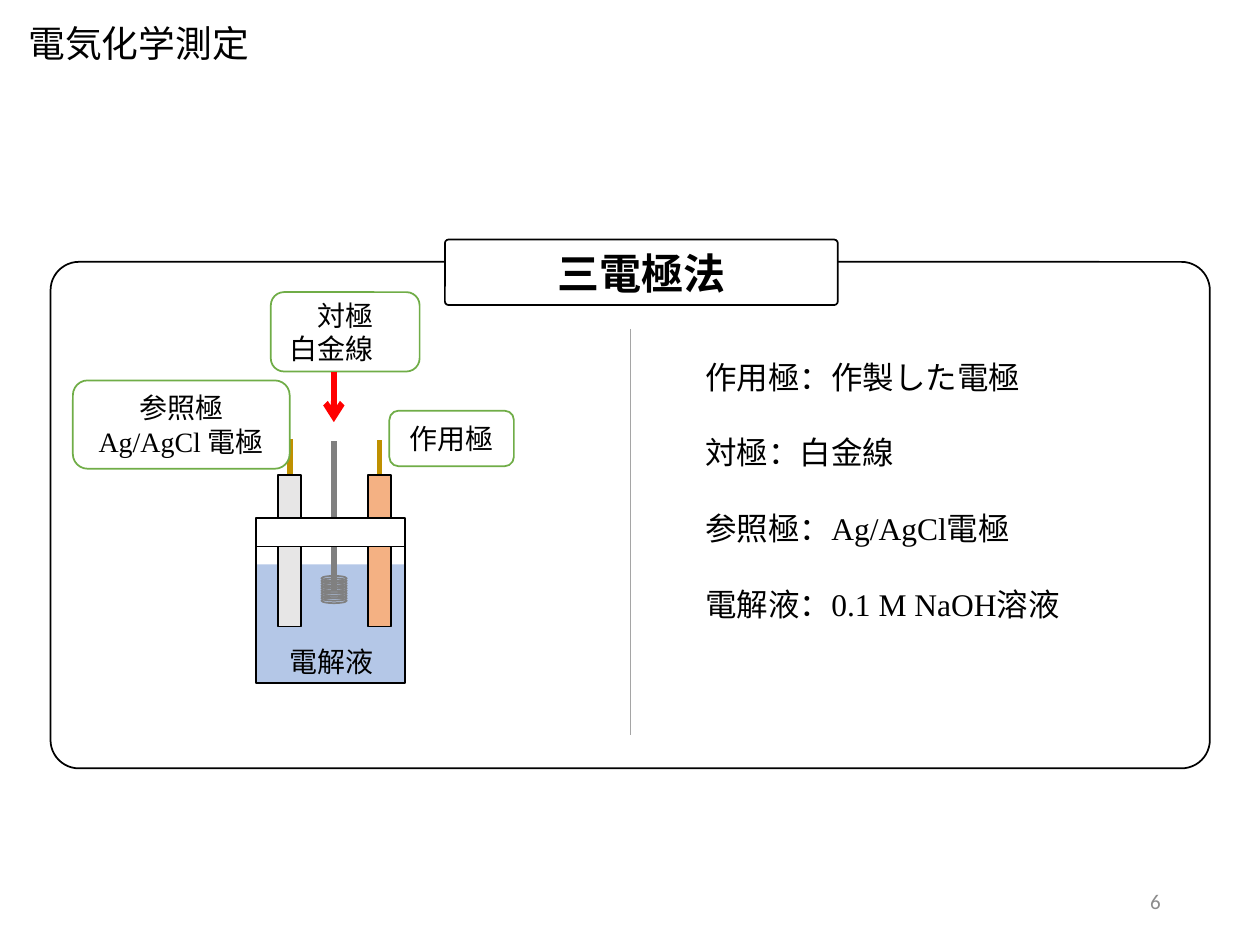
import pptx
import pptx.dml.color
import pptx.enum.shapes
import pptx.enum.text
import pptx.oxml
import pptx.oxml.ns
import pptx.util
from lxml import etree

Cm, Pt = pptx.util.Cm, pptx.util.Pt
SHAPE = pptx.enum.shapes.MSO_SHAPE
ALIGN = pptx.enum.text.PP_ALIGN
MIDDLE = pptx.enum.text.MSO_ANCHOR.MIDDLE
GOTHIC, SERIF = "Noto Sans CJK JP", "Times New Roman"
BLACK, WHITE, GREY, GOLD, GREEN = "000000", "FFFFFF", "808080", "BF9000", "70AD47"


def color(hex_value):
    return pptx.dml.color.RGBColor.from_string(hex_value)


def add_drawing_element(parent, tag, **attributes):
    element = etree.SubElement(parent, pptx.oxml.ns.qn(tag))
    for key, value in attributes.items():
        element.set(key, value)


def write(frame, lines, size, font=GOTHIC, text_color=BLACK, align=ALIGN.CENTER,
          bold=False, gap=0):
    """Fill a text frame, one paragraph per line."""
    frame.text = "\n".join(lines)
    for paragraph in frame.paragraphs:
        paragraph.alignment = align
        paragraph.space_after = Pt(gap)
        for run in paragraph.runs:
            run.font.size = Pt(size)
            run.font.bold = bold
            run.font.color.rgb = color(text_color)
            run.font.name = font
            add_drawing_element(run.font._element, "a:ea", typeface=GOTHIC)


def add_box(shapes, kind, left, top, width, height, fill=None, line=None, corner=None):
    box = shapes.add_shape(kind, Cm(left), Cm(top), Cm(width), Cm(height))
    box.shadow.inherit = False
    if fill:
        box.fill.solid()
        box.fill.fore_color.rgb = color(fill)
    else:
        box.fill.background()
    if line:
        box.line.color.rgb = color(line)
        box.line.width = Pt(1)
    else:
        box.line.fill.background()
    if corner is not None:
        box.adjustments[0] = corner
    return box


def add_label(shapes, place, lines, font=GOTHIC, fill=WHITE, line=GREEN):
    label = add_box(shapes, SHAPE.ROUNDED_RECTANGLE, *place, fill, line)
    label.text_frame.vertical_anchor = MIDDLE
    write(label.text_frame, lines, 16, font)
    return label


def add_vertical(shapes, x, start, end, line_color, width, arrow=False):
    line = shapes.add_connector(pptx.enum.shapes.MSO_CONNECTOR.STRAIGHT,
                                Cm(x), Cm(start), Cm(x), Cm(end))
    line.line.color.rgb = color(line_color)
    line.line.width = Pt(width)
    if arrow:
        add_drawing_element(line.line._get_or_add_ln(), "a:tailEnd", type="arrow")
    add_drawing_element(line._element.spPr, "a:effectLst")


def add_text(shapes, place, lines, size, wrap=True, **style):
    box = shapes.add_textbox(*[Cm(length) for length in place])
    box.text_frame.word_wrap = wrap
    write(box.text_frame, lines, size, **style)
    return box


def draw_cell(shapes):
    counter_x, reference_x, working_x = 6.73, 5.84, 7.65
    vessel_left, vessel_width = 5.16, 3.0

    # Wires
    add_vertical(shapes, counter_x, 11.89, 8.89, GREY, 3.25)
    add_vertical(shapes, working_x, 9.96, 8.86, GOLD, 3.25)
    add_vertical(shapes, reference_x, 9.96, 8.84, GOLD, 3.25)

    # Vessel, electrode rods and lid
    add_box(shapes, SHAPE.RECTANGLE, vessel_left, 11.0, vessel_width, 2.77, line=BLACK)
    for left, fill in ((7.42, "F4B183"), (5.61, "E7E6E6")):
        add_box(shapes, SHAPE.RECTANGLE, left, 9.58, 0.46, 3.05, fill, BLACK)
    add_box(shapes, SHAPE.RECTANGLE, vessel_left, 10.44, vessel_width, 0.58, WHITE, BLACK)

    # Labels
    reference = add_label(shapes, (1.47, 7.67, 4.37, 1.78), ["参照極", "Ag/AgCl 電極"])
    for run in reference.text_frame.paragraphs[1].runs:
        run.font.name = SERIF
    add_label(shapes, (5.46, 5.89, 3.0, 1.6), ["対極", "白金線　"])
    add_vertical(shapes, counter_x, 7.49, 8.51, "FF0000", 3.5, arrow=True)
    add_label(shapes, (7.85, 8.28, 2.51, 1.12), ["作用極"])
    add_label(shapes, (5.38, 12.78, 2.62, 1.09), ["電解液"], SERIF, None, None)

    # Platinum coil
    for turn in range(10):
        add_box(shapes, SHAPE.OVAL, 6.48, 11.61 + 0.05 * turn, 0.51, 0.1, line=GREY)


def main():
    deck = pptx.Presentation()
    deck.slide_width, deck.slide_height = Cm(25.4), Cm(19.05)
    shapes = deck.slides.add_slide(deck.slide_layouts[6]).shapes

    # Electrolyte behind the cell
    add_box(shapes, SHAPE.RECTANGLE, 5.16, 11.38, 3.0, 2.41, "B4C7E7")

    # Page number
    page_number = add_text(shapes, (17.93, 17.65, 5.72, 1.02), ["6"], 12,
                           font="Calibri", text_color="8C8C8C", align=ALIGN.RIGHT)
    page_number.text_frame.vertical_anchor = MIDDLE

    draw_cell(shapes.add_group_shape().shapes)

    # Title and list of components
    add_text(shapes, (-1.14, 0.3, 7.87, 1.14), ["電気化学測定"], 21)
    components = ["作用極：作製した電極", "対極：白金線",
                  "参照極：Ag/AgCl電極", "電解液：0.1 M NaOH溶液"]
    add_text(shapes, (13.97, 7.09, 7.98, 5.64), components, 18, wrap=False,
             font=SERIF, align=ALIGN.LEFT, gap=21.6)

    # Frame, heading and divider
    add_box(shapes, SHAPE.ROUNDED_RECTANGLE, 1.02, 5.28, 23.37, 10.21,
            line=BLACK, corner=0.056)
    heading = add_box(shapes, SHAPE.ROUNDED_RECTANGLE, 8.97, 4.83, 7.92, 1.32,
                      WHITE, BLACK, 0.056)
    heading.text_frame.vertical_anchor = MIDDLE
    write(heading.text_frame, ["三電極法"], 24, bold=True)
    add_vertical(shapes, 12.7, 6.63, 14.81, "A5A5A5", 0.5)

    deck.save("out.pptx")


if __name__ == "__main__":
    main()
